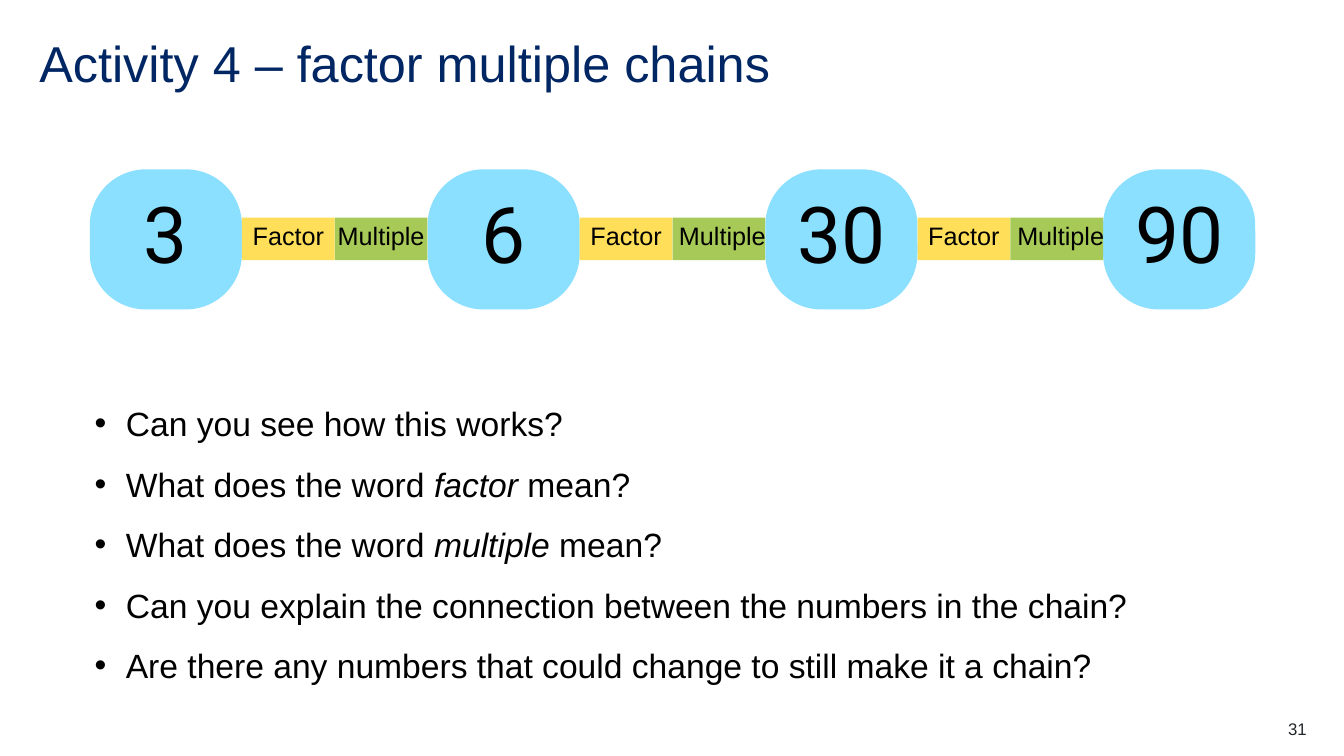
from lxml import etree
from pptx import Presentation
from pptx.dml.color import RGBColor
from pptx.enum.shapes import MSO_SHAPE
from pptx.enum.text import MSO_ANCHOR, PP_ALIGN
from pptx.oxml.ns import qn
from pptx.util import Pt

NAVY = RGBColor(0x00, 0x26, 0x64)
BLACK = RGBColor(0x00, 0x00, 0x00)
CHARCOAL = RGBColor(0x22, 0x27, 0x2B)
SKY = RGBColor(0x8C, 0xE0, 0xFF)
YELLOW = RGBColor(0xFF, 0xDE, 0x59)
GREEN = RGBColor(0xA7, 0xC9, 0x57)
RECTANGLE = MSO_SHAPE.RECTANGLE
ROUNDED = MSO_SHAPE.ROUNDED_RECTANGLE
LEFT, CENTER, RIGHT = PP_ALIGN.LEFT, PP_ALIGN.CENTER, PP_ALIGN.RIGHT
MIDDLE = MSO_ANCHOR.MIDDLE

EMU_PER_PX = 9144
CHAIN_LEFT, NODE_TOP, LINK_TOP = 89, 168, 216
NODE_WIDTH, NODE_HEIGHT = 151, 139
LINK_WIDTH, LINK_HEIGHT = 92, 42
PITCH = NODE_WIDTH + 2 * LINK_WIDTH

NUMBERS = ["3", "6", "30", "90"]
MULTIPLE_INDENTS = [0, 7, 8]
QUESTIONS = [
    "Can you see how this works?",
    "What does the word *factor* mean?",
    "What does the word *multiple* mean?",
    "Can you explain the connection between the numbers in the chain?",
    "Are there any numbers that could change to still make it a chain?",
]


def px(*lengths):
    """Turn whole px lengths into EMU."""
    return [length * EMU_PER_PX for length in lengths]


class ActivitySlide:
    """Hold the style and the current slide of the activity."""

    def __init__(self, slide, font="Arial"):
        """Keep the slide and its main font."""
        self.shapes = slide.shapes
        self.font = font

    def style(self, font, size, color, name=None):
        """Apply size, colour and typeface to a font."""
        font.size = Pt(size)
        font.color.rgb = color
        font.name = name or self.font

    def set_insets(self, frame, left=0, bottom=0):
        """Set the text insets, with none at the top and right."""
        frame.margin_left, frame.margin_bottom = px(left, bottom)
        frame.margin_top = frame.margin_right = 0

    def line(self, box, text, size, color, align=LEFT, spacing=1.0):
        """Add one line of plain text."""
        frame = self.shapes.add_textbox(*px(*box)).text_frame
        frame.word_wrap = True
        self.set_insets(frame)
        paragraph = frame.paragraphs[0]
        paragraph.text = text
        paragraph.alignment = align
        paragraph.line_spacing = spacing
        self.style(paragraph.runs[0].font, size, color)

    def block(self, preset, box, fill, text, size, leading, bottom, left=0, font=None):
        """Add a filled shape with a centred label."""
        block = self.shapes.add_shape(preset, *px(*box))
        block.shadow.inherit = False
        block.fill.solid()
        block.fill.fore_color.rgb = fill
        block.line.fill.background()
        frame = block.text_frame
        frame.word_wrap = False
        frame.vertical_anchor = MIDDLE
        self.set_insets(frame, left, bottom)
        paragraph = frame.paragraphs[0]
        paragraph.text = text
        paragraph.alignment = CENTER
        paragraph.line_spacing = Pt(leading)
        self.style(paragraph.runs[0].font, size, BLACK, font)
        return block

    def node(self, left, number):
        """Add one number of the chain."""
        box = (left, NODE_TOP, NODE_WIDTH, NODE_HEIGHT)
        node = self.block(ROUNDED, box, SKY, number, 56, 78.4, 29, font="Roboto")
        node.adjustments[0] = 0.4

    def link(self, left, word, fill, indent=0):
        """Add one half of a link between two numbers."""
        box = (left, LINK_TOP, LINK_WIDTH, LINK_HEIGHT)
        self.block(RECTANGLE, box, fill, word, 18, 22, 8, indent)

    def bullets(self, box, items, size, indent):
        """Add a bulleted list, with words between asterisks in italics."""
        frame = self.shapes.add_textbox(*px(*box)).text_frame
        frame.word_wrap = True
        for index, item in enumerate(items):
            paragraph = frame.add_paragraph() if index else frame.paragraphs[0]
            properties = paragraph._p.get_or_add_pPr()
            hanging, = px(indent)
            properties.set("marL", str(hanging))
            properties.set("indent", str(-hanging))
            etree.SubElement(properties, qn("a:buFont"), typeface=self.font)
            etree.SubElement(properties, qn("a:buChar"), char="•")
            paragraph.line_spacing = 1.5
            for position, part in enumerate(item.split("*")):
                run = paragraph.add_run()
                run.text = part
                run.font.italic = position % 2 == 1
                self.style(run.font, size, BLACK)


def main():
    """Build and save the slide."""
    deck = Presentation()
    deck.slide_width, deck.slide_height = px(1333, 750)
    activity = ActivitySlide(deck.slides.add_slide(deck.slide_layouts[6]))
    activity.line((39, 39, 1256, 60), "Activity 4 – factor multiple chains", 36, NAVY, spacing=0.9)
    for index, number in enumerate(NUMBERS):
        activity.node(CHAIN_LEFT + index * PITCH, number)
    for index, indent in enumerate(MULTIPLE_INDENTS):
        factor_left = CHAIN_LEFT + NODE_WIDTH + index * PITCH
        activity.link(factor_left, "Factor", YELLOW)
        activity.link(factor_left + LINK_WIDTH, "Multiple", GREEN, indent)
    activity.bullets((84, 375, 1074, 306), QUESTIONS, 24, 31)
    activity.line((1217, 713, 79, 20), "31", 12, CHARCOAL, RIGHT)
    deck.save("out.pptx")


if __name__ == "__main__":
    main()
